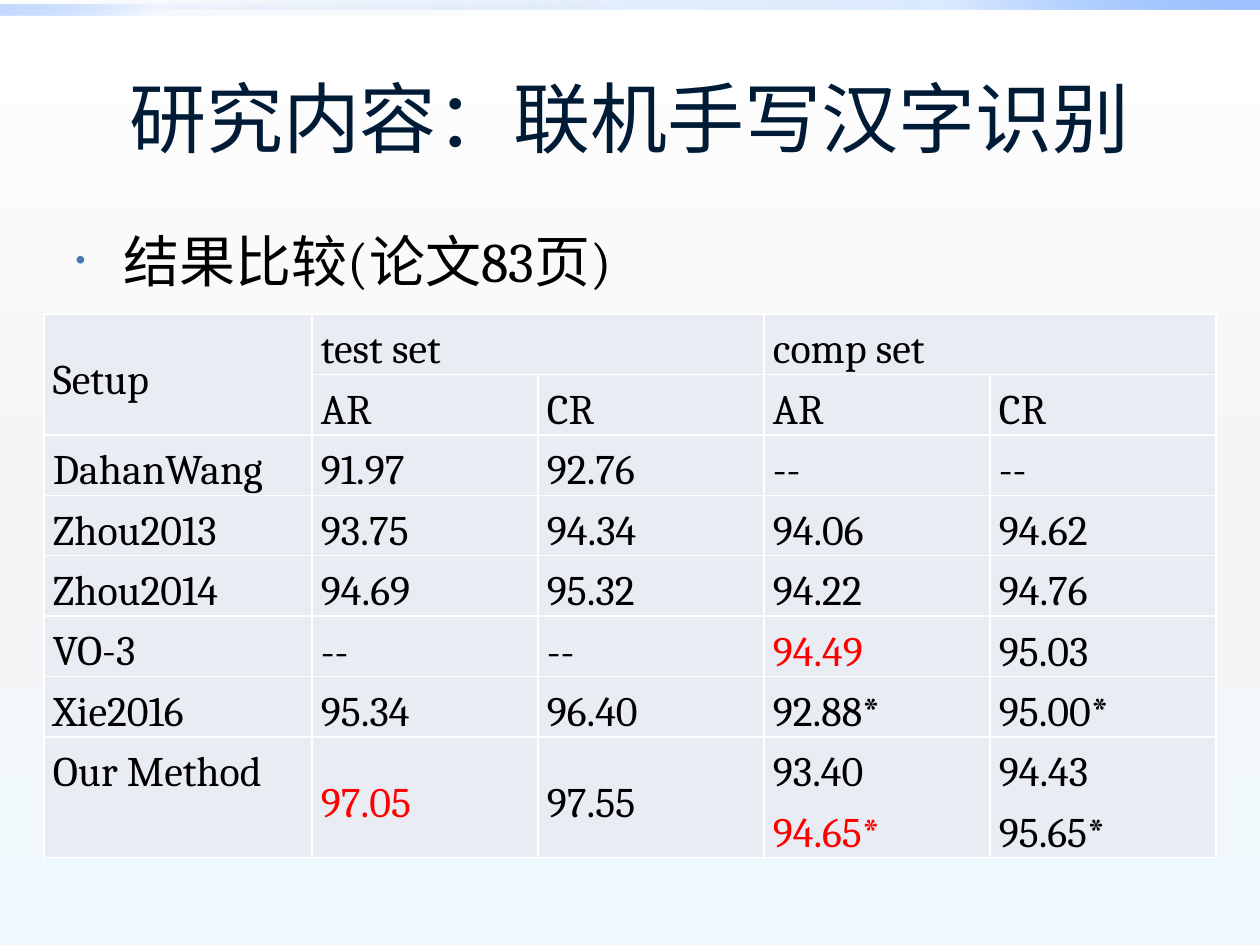
from lxml.etree import SubElement
from pptx import Presentation
from pptx.dml.color import RGBColor
from pptx.enum.shapes import MSO_SHAPE as Shape
from pptx.enum.text import MSO_ANCHOR as Anchor, PP_ALIGN as Align
from pptx.oxml import parse_xml
from pptx.oxml.ns import nsdecls, qn
from pptx.util import Pt

PX = 914400 // 126  # EMU per px

WHITE = RGBColor(0xFF, 0xFF, 0xFF)
PALE_GREY = RGBColor(0xF4, 0xF4, 0xF4)
PALE_BLUE = RGBColor(0xEE, 0xF9, 0xFF)
DEEP_BLUE = RGBColor(0x00, 0x58, 0xB7)
MID_BLUE = RGBColor(0x4F, 0x95, 0xFF)
LIGHT_BLUE = RGBColor(0x9E, 0xC2, 0xFF)
NAVY = RGBColor(0x00, 0x1B, 0x36)
BULLET_BLUE = RGBColor(0x47, 0x7A, 0xB1)
CELL_FILL = RGBColor(0xE9, 0xEC, 0xF2)
BLACK = RGBColor(0x00, 0x00, 0x00)
RED = RGBColor(0xFF, 0x00, 0x00)

COLUMN_WIDTHS = [268] + [226] * 4
ROW_HEIGHTS = [60] * 7 + [120]
RESULTS = [
    ["Setup", "test set", "", "comp set", ""],
    ["", "AR", "CR", "AR", "CR"],
    ["DahanWang", "91.97", "92.76", "--", "--"],
    ["Zhou2013", "93.75", "94.34", "94.06", "94.62"],
    ["Zhou2014", "94.69", "95.32", "94.22", "94.76"],
    ["VO-3", "--", "--", "94.49", "95.03"],
    ["Xie2016", "95.34", "96.40", "92.88*", "95.00*"],
    ["Our Method", "97.05", "97.55", "93.40\n94.65*", "94.43\n95.65*"],
]
BEST_RESULTS = {"94.49", "97.05", "94.65*"}
MERGES = [((0, 0), (1, 0)), ((0, 1), (0, 2)), ((0, 3), (0, 4))]


def px(*lengths):
    return [length * PX for length in lengths]


def set_gradient(fill, owner, stops, angle):
    """Give a fill its stops: (position %, colour, opacity %)."""
    fill.solid()
    stop_xml = "".join(
        f'<a:gs pos="{position * 1000}"><a:srgbClr val="{color}">'
        f'<a:alpha val="{opacity * 1000}"/></a:srgbClr></a:gs>'
        for position, color, opacity in stops)
    gradient = parse_xml(
        f'<a:gradFill {nsdecls("a")} rotWithShape="1"><a:gsLst>{stop_xml}</a:gsLst>'
        f'<a:lin ang="{angle * 60000}" scaled="0"/></a:gradFill>')
    solid = owner.find(".//" + qn("a:solidFill"))
    solid.getparent().replace(solid, gradient)


def add_band(slide, box, stops, angle, depth):
    band = slide.shapes.add_shape(Shape.RECTANGLE, *px(*box))
    band.shadow.inherit = False
    set_gradient(band.fill, band.element, stops, angle)
    band.line.fill.background()
    # Bands lie behind the placeholders
    band.element.getparent().insert(2 + depth, band.element)


def add_run(paragraph, text, size, font, color):
    run = paragraph.add_run()
    run.text = text
    run.font.size = Pt(size)
    run.font.name = font
    run.font.color.rgb = color


def place(shape, box):
    shape.left, shape.top, shape.width, shape.height = px(*box)


def fill_title(title):
    place(title, (63, 38, 1134, 158))
    title.text_frame.vertical_anchor = Anchor.MIDDLE
    heading = title.text_frame.paragraphs[0]
    heading.alignment = Align.CENTER
    add_run(heading, "研究内容：联机手写汉字识别", 44, "Arial", NAVY)


def fill_body(body):
    place(body, (63, 220, 1134, 94))
    point = body.text_frame.paragraphs[0]
    properties = point._p.get_or_add_pPr()
    properties.set("marL", str(48 * PX))
    properties.set("indent", str(-48 * PX))
    bullet_color = SubElement(properties, qn("a:buClr"))
    SubElement(bullet_color, qn("a:srgbClr"), val=str(BULLET_BLUE))
    SubElement(properties, qn("a:buSzPct"), val="50000")
    SubElement(properties, qn("a:buChar"), char="•")
    add_run(point, "结果比较(论文83页)", 32, "Cambria", BLACK)


def format_cell(cell, text, anchor):
    cell.margin_left = cell.margin_right = 9 * PX
    cell.margin_top = cell.margin_bottom = 0
    cell.vertical_anchor = anchor
    properties = cell._tc.get_or_add_tcPr()
    for side in ("lnL", "lnR", "lnT", "lnB"):
        border = SubElement(properties, qn(f"a:{side}"), w=str(Pt(1)))
        border_fill = SubElement(border, qn("a:solidFill"))
        SubElement(border_fill, qn("a:srgbClr"), val=str(WHITE))
    cell.fill.solid()
    cell.fill.fore_color.rgb = CELL_FILL

    frame = cell.text_frame
    for index, line in enumerate(text.split("\n") if text else []):
        paragraph = frame.add_paragraph() if index else frame.paragraphs[0]
        paragraph.alignment = Align.JUSTIFY
        paragraph.line_spacing = 1.25
        add_run(paragraph, line, 24, "Cambria", RED if line in BEST_RESULTS else BLACK)


def add_results(slide):
    box = px(44, 314, sum(COLUMN_WIDTHS), sum(ROW_HEIGHTS))
    table = slide.shapes.add_table(len(RESULTS), len(COLUMN_WIDTHS), *box).table
    table.first_row = table.horz_banding = False
    for column, width in zip(table.columns, px(*COLUMN_WIDTHS)):
        column.width = width
    for row, height in zip(table.rows, px(*ROW_HEIGHTS)):
        row.height = height
    for start, end in MERGES:
        table.cell(*start).merge(table.cell(*end))
    for r, values in enumerate(RESULTS):
        for c, text in enumerate(values):
            centred = text == "Setup" or (r > 1 and c > 0)
            format_cell(table.cell(r, c), text, Anchor.MIDDLE if centred else Anchor.TOP)


def main():
    deck = Presentation()
    deck.slide_width, deck.slide_height = px(1260, 945)
    slide = deck.slides.add_slide(deck.slide_layouts[1])

    # Background and top bands
    set_gradient(slide.background.fill, slide.element,
                 [(0, WHITE, 100), (55, PALE_GREY, 100), (100, PALE_BLUE, 100)], 90)
    add_band(slide, (0, 0, 1260, 10),
             [(0, DEEP_BLUE, 0), (75, MID_BLUE, 20), (100, LIGHT_BLUE, 100)], 315, 0)
    add_band(slide, (0, 5, 630, 10),
             [(0, DEEP_BLUE, 0), (75, MID_BLUE, 5), (100, LIGHT_BLUE, 60)], 135, 1)

    # Heading, bullet and comparison table
    fill_title(slide.shapes.title)
    fill_body(slide.placeholders[1])
    add_results(slide)
    deck.save("out.pptx")


if __name__ == "__main__":
    main()
